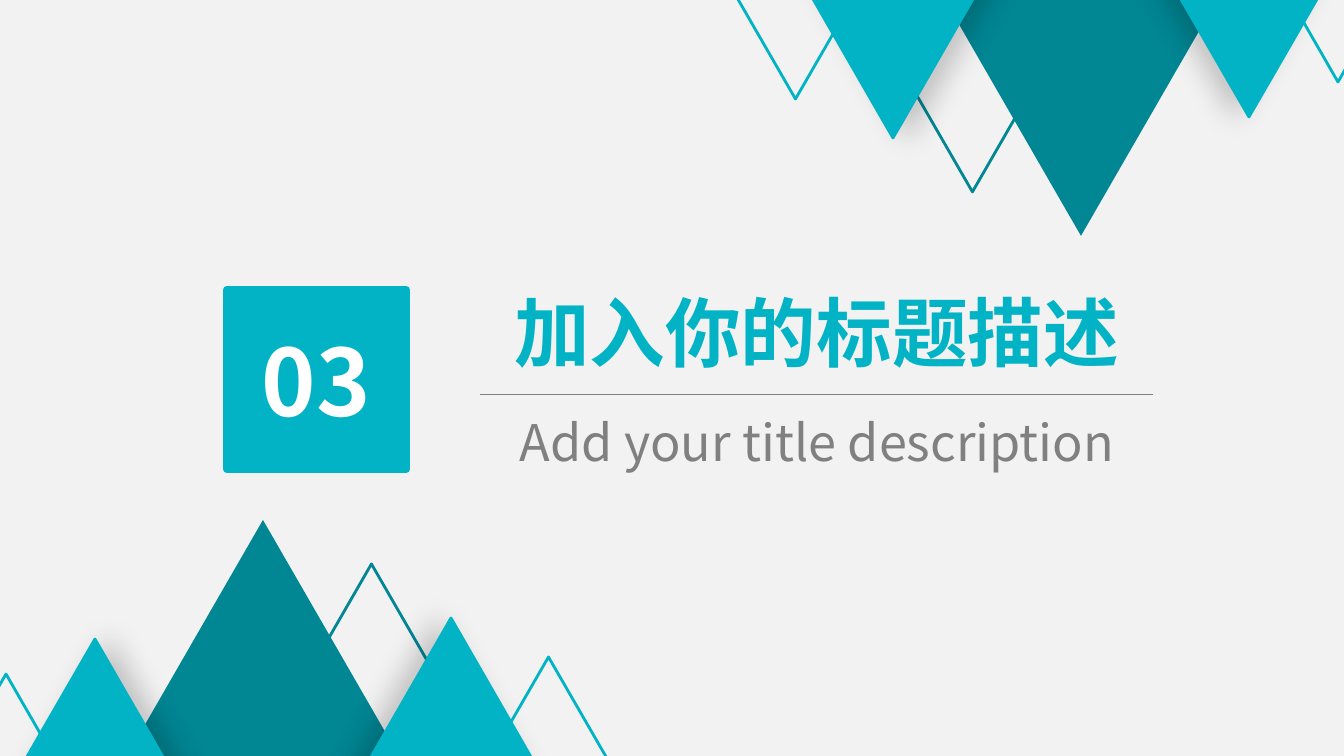
"""Build a section title slide framed by two clusters of triangles."""
import pptx
import pptx.dml.color
import pptx.enum.shapes
import pptx.enum.text
import pptx.oxml
import pptx.oxml.ns
import pptx.util

PX = 12192000 / 1344
SLIDE_WIDTH, SLIDE_HEIGHT = 1344, 756
FONT = "Noto Sans CJK SC"
COLORS = {
    "background": "F2F2F2",
    "teal": "018694",
    "cyan": "01B3C5",
    "gray": "808080",
    "white": "FFFFFF",
    "shadow": "000000",
}
PEAKS = [
    (-23, 520, 572, 496, "teal", None, None),
    (111, 564, 521, 452, None, "teal", None),
    (196, 618, 510, 443, "cyan", "cyan", 180),
    (316, 657, 465, 403, None, "cyan", None),
    (-136, 639, 462, 400, "cyan", "cyan", 0),
    (-204, 674, 420, 365, None, "cyan", None),
]


def emu(*pixels):
    """Turn pixel lengths into EMU."""
    return [pptx.util.Emu(round(length * PX)) for length in pixels]


def rgb(name):
    """Look up a named colour."""
    return pptx.dml.color.RGBColor.from_string(COLORS[name])


def add_xml(parent, tag, **attributes):
    """Append a DrawingML element and return it."""
    child = pptx.oxml.parse_xml(f"<a:{tag} {pptx.oxml.ns.nsdecls('a')}/>")
    for key, value in attributes.items():
        child.set(key, str(value))
    parent.append(child)
    return child


def add_shadow(shape, direction):
    """Give a shape a soft shadow in the direction given in degrees."""
    effects = shape._element.spPr.find(pptx.oxml.ns.qn("a:effectLst"))
    shadow = add_xml(effects, "outerShdw", blurRad=pptx.util.Pt(20),
                     dist=pptx.util.Pt(10), dir=direction * 60000,
                     algn="ctr", rotWithShape=0)
    color = add_xml(shadow, "srgbClr", val=COLORS["shadow"])
    add_xml(color, "alpha", val=20000)


def add_shape(shapes, kind, box, fill=None, line=None, weight=2):
    """Add a preset shape with optional fill and round-joined outline."""
    shape = shapes.add_shape(kind, *emu(*box))
    shape.shadow.inherit = False
    if fill:
        shape.fill.solid()
        shape.fill.fore_color.rgb = rgb(fill)
    else:
        shape.fill.background()
    if line:
        shape.line.color.rgb = rgb(line)
        shape.line.width = pptx.util.Pt(weight)
        add_xml(shape.line._get_or_add_ln(), "round")
    else:
        shape.line.fill.background()
    return shape


def write_text(shape, text, size, color, bold=False, anchor="TOP", grow=False):
    """Write one centred, formatted line into a shape."""
    frame = shape.text_frame
    frame.vertical_anchor = pptx.enum.text.MSO_ANCHOR[anchor]
    frame.word_wrap = not grow
    if grow:
        frame.auto_size = pptx.enum.text.MSO_AUTO_SIZE.SHAPE_TO_FIT_TEXT
    paragraph = frame.paragraphs[0]
    paragraph.alignment = pptx.enum.text.PP_ALIGN.CENTER
    run = paragraph.add_run()
    run.text = text
    run.font.size = pptx.util.Pt(size)
    run.font.bold = bold
    run.font.name = FONT
    run.font.color.rgb = rgb(color)
    add_xml(run.font._element, "ea", typeface=FONT)


def add_peaks(slide, box, turned=False):
    """Add a triangle cluster, optionally turned half a circle within its box."""
    left, top, width, height = box
    cluster = slide.shapes.add_group_shape().shapes
    for x, y, w, h, fill, line, direction in PEAKS:
        if turned:
            x, y = width - x - w, height - y - h
        peak = add_shape(cluster, pptx.enum.shapes.MSO_SHAPE.ISOSCELES_TRIANGLE,
                         (left + x, top + y, w, h), fill, line)
        if turned:
            peak._element.spPr.xfrm.set("flipV", "1")
        if direction is not None:
            add_shadow(peak, 180 - direction if turned else direction)


def add_heading(slide, box):
    """Add the section number, title, rule and subtitle."""
    left, top, width, height = box
    heading = slide.shapes.add_group_shape().shapes

    title = heading.add_textbox(*emu(left + 274, top, 631, 102))
    write_text(title, "加入你的标题描述", 54, "cyan", bold=True, anchor="MIDDLE", grow=True)

    subtitle = heading.add_textbox(*emu(left + 269, top + 126, 642, 72))
    write_text(subtitle, "Add your title description", 36, "gray", grow=True)

    rule = heading.add_connector(
        pptx.enum.shapes.MSO_CONNECTOR.STRAIGHT,
        *emu(left + 253, top + 114, left + width, top + 114))
    rule.line.color.rgb = rgb("gray")
    rule.line.width = pptx.util.Pt(0.5)
    add_xml(rule._element.spPr, "effectLst")

    side = height - 19
    number = add_shape(heading, pptx.enum.shapes.MSO_SHAPE.RECTANGLE,
                       (left, top + 10, side, side), "cyan", "cyan", weight=6)
    write_text(number, "03", 66, "white", bold=True, anchor="MIDDLE")


def main():
    """Build and save the slide."""
    deck = pptx.Presentation()
    deck.slide_width, deck.slide_height = emu(SLIDE_WIDTH, SLIDE_HEIGHT)
    slide = deck.slides.add_slide(deck.slide_layouts[6])
    slide.background.fill.solid()
    slide.background.fill.fore_color.rgb = rgb("background")
    page = (0, 0, SLIDE_WIDTH, SLIDE_HEIGHT)
    add_peaks(slide, page)
    add_peaks(slide, page, turned=True)
    add_heading(slide, (227, 280, 926, 198))
    deck.save("out.pptx")


if __name__ == "__main__":
    main()
